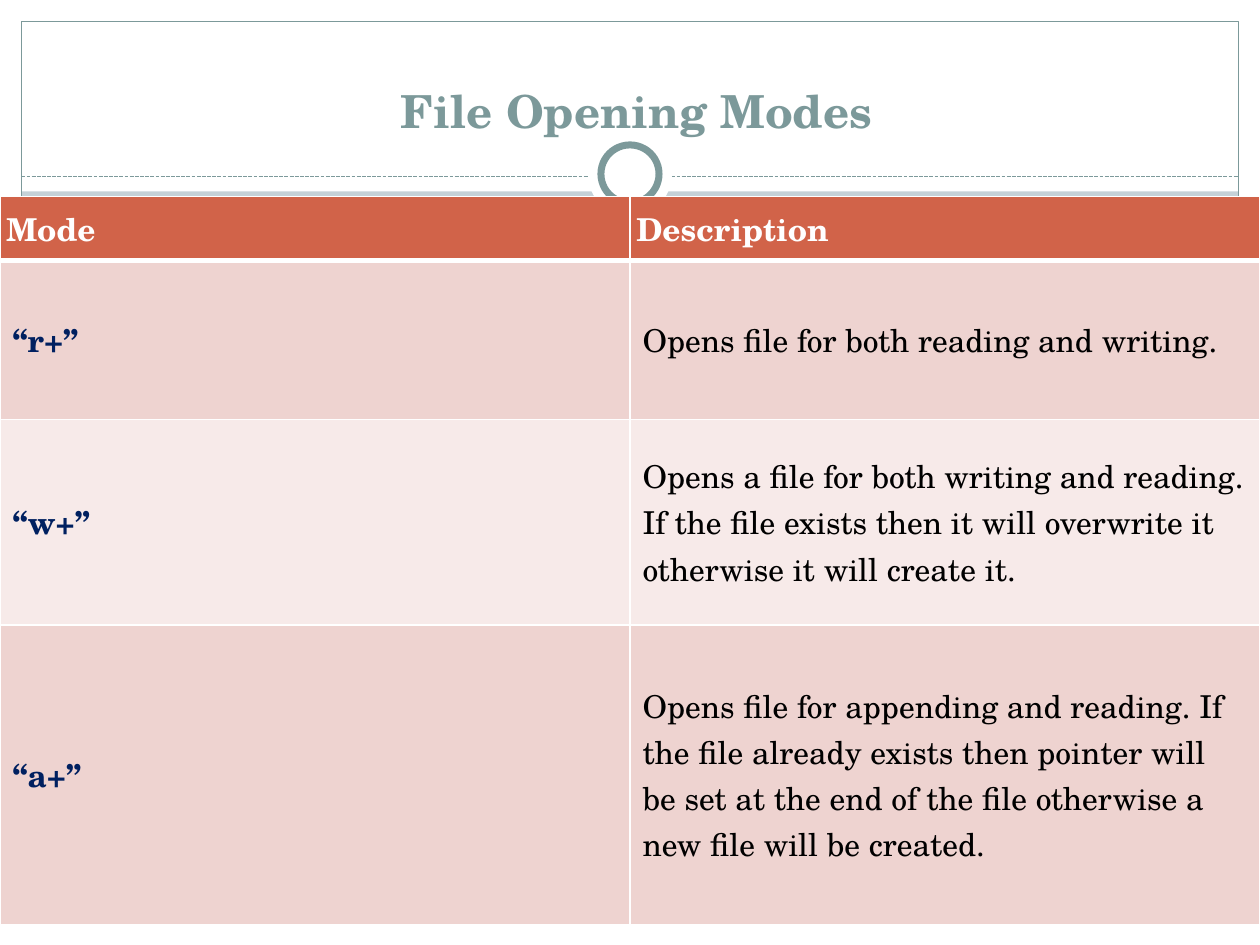
from dataclasses import dataclass
from typing import Optional

from lxml import etree
from pptx import Presentation
from pptx.dml.color import RGBColor
from pptx.enum.dml import MSO_LINE
from pptx.enum.shapes import MSO_CONNECTOR, MSO_SHAPE
from pptx.enum.text import MSO_ANCHOR, PP_ALIGN
from pptx.oxml.ns import qn
from pptx.util import Pt

RECT, OVAL = MSO_SHAPE.RECTANGLE, MSO_SHAPE.OVAL
STRAIGHT, DASH = MSO_CONNECTOR.STRAIGHT, MSO_LINE.SQUARE_DOT
MIDDLE, BOTTOM = MSO_ANCHOR.MIDDLE, MSO_ANCHOR.BOTTOM
LEFT, CENTER = PP_ALIGN.LEFT, PP_ALIGN.CENTER

FONT = "TeX Gyre Schola"
WHITE, TEAL, NAVY, BLACK = "FFFFFF", "7C999A", "002060", "000000"
ORANGE, ROSE, PALE = "D16349", "EED3D0", "F7EAE9"
W, H, EDGE = 720, 540, 12.24


@dataclass
class Panel:
    x: float
    y: float
    w: float
    h: float
    fill: Optional[str] = None
    line: Optional[str] = None
    weight: float = 0.75
    kind: MSO_SHAPE = RECT


@dataclass
class Row:
    mode: str
    description: str
    height: float
    fill: str
    mode_color: str = NAVY
    header: bool = False


PANELS = [
    Panel(0, H - EDGE, W, EDGE, WHITE),
    Panel(0, 0, W, 109.44, WHITE),
    Panel(0, 0, EDGE, H, WHITE),
    Panel(W - EDGE, 0, EDGE, H, WHITE),
    Panel(11.52, 503.28, 695.52, 24.48, "8CADAE"),
    Panel(EDGE, EDGE, W - 2 * EDGE, H - 2 * EDGE, line=TEAL),
]
RINGS = [
    Panel(336, 75.6, 48, 48, WHITE, kind=OVAL),
    Panel(343.4, 82.8, 33.2, 33.2, WHITE, TEAL, 4, OVAL),
]
ROWS = [
    Row("Mode", "Description", 36.72, ORANGE, WHITE, True),
    Row("“r+”", "Opens file for both reading and writing.", 90.72, ROSE),
    Row("“w+”", "Opens a file for both writing and reading. If the file exists "
        "then it will overwrite it otherwise it will create it.", 117.36, PALE),
    Row("“a+”", "Opens file for appending and reading. If the file already exists "
        "then pointer will be set at the end of the file otherwise a new file "
        "will be created.", 171.36, ROSE),
]


def rgb(color: str) -> RGBColor:
    return RGBColor.from_string(color)


def set_text(tf, text: str, *, size: float = 18, color: str = BLACK,
             bold: bool = False, align=LEFT) -> None:
    tf.word_wrap = True
    p = tf.paragraphs[0]
    p.alignment = align
    r = p.add_run()
    r.text = text
    r.font.name = FONT
    r.font.size = Pt(size)
    r.font.bold = bold
    r.font.color.rgb = rgb(color)


def add_panel(s, panel: Panel) -> None:
    sp = s.shapes.add_shape(panel.kind, Pt(panel.x), Pt(panel.y), Pt(panel.w), Pt(panel.h))
    sp.shadow.inherit = False
    if panel.fill:
        sp.fill.solid()
        sp.fill.fore_color.rgb = rgb(panel.fill)
    else:
        sp.fill.background()
    if panel.line:
        sp.line.color.rgb = rgb(panel.line)
        sp.line.width = Pt(panel.weight)
    else:
        sp.line.fill.background()


def add_dashed_rule(s, y: float) -> None:
    cn = s.shapes.add_connector(STRAIGHT, Pt(EDGE), Pt(y), Pt(W - EDGE), Pt(y))
    cn.line.color.rgb = rgb(TEAL)
    cn.line.width = Pt(0.75)
    cn.line.dash_style = DASH
    etree.SubElement(cn._element.spPr, qn("a:effectLst"))


def add_title(s, text: str) -> None:
    tf = s.shapes.add_textbox(Pt(28.08), Pt(22.32), Pt(671.76), Pt(59.76)).text_frame
    tf.vertical_anchor = BOTTOM
    set_text(tf, text, size=26, color=TEAL, bold=True, align=CENTER)


def set_borders(cell, top: float, bottom: float) -> None:
    tc_pr = cell._tc.get_or_add_tcPr()
    for side, weight in (("L", 1), ("R", 1), ("T", top), ("B", bottom)):
        ln = etree.SubElement(tc_pr, qn(f"a:ln{side}"), w=str(Pt(weight)))
        fill = etree.SubElement(ln, qn("a:solidFill"))
        etree.SubElement(fill, qn("a:srgbClr"), val=WHITE)


def fill_cell(cell, text: str, row: Row, color: str, bold: bool, top: float) -> None:
    set_borders(cell, top, 3 if row.header else 1)
    cell.fill.solid()
    cell.fill.fore_color.rgb = rgb(row.fill)
    cell.vertical_anchor = MIDDLE
    if row.header:
        cell.margin_left = cell.margin_right = Pt(3.6)
    set_text(cell.text_frame, text, color=color, bold=bold)


def add_modes_table(s, rows: list[Row]) -> None:
    height = sum(row.height for row in rows)
    table = s.shapes.add_table(len(rows), 2, 0, Pt(112.32), Pt(W), Pt(height)).table
    for i, row in enumerate(rows):
        table.rows[i].height = Pt(row.height)
        top = 3 if i and rows[i - 1].header else 1
        text_color = WHITE if row.header else BLACK
        fill_cell(table.cell(i, 0), row.mode, row, row.mode_color, True, top)
        fill_cell(table.cell(i, 1), row.description, row, text_color, row.header, top)


def main() -> None:
    prs = Presentation()
    prs.slide_width, prs.slide_height = Pt(W), Pt(H)
    s = prs.slides.add_slide(prs.slide_layouts[6])
    s.background.fill.solid()
    s.background.fill.fore_color.rgb = rgb("C5D1D7")
    for panel in PANELS:
        add_panel(s, panel)
    add_dashed_rule(s, 100.8)
    for ring in RINGS:
        add_panel(s, ring)
    add_title(s, "File Opening Modes")
    add_modes_table(s, ROWS)
    prs.save("out.pptx")


if __name__ == "__main__":
    main()
